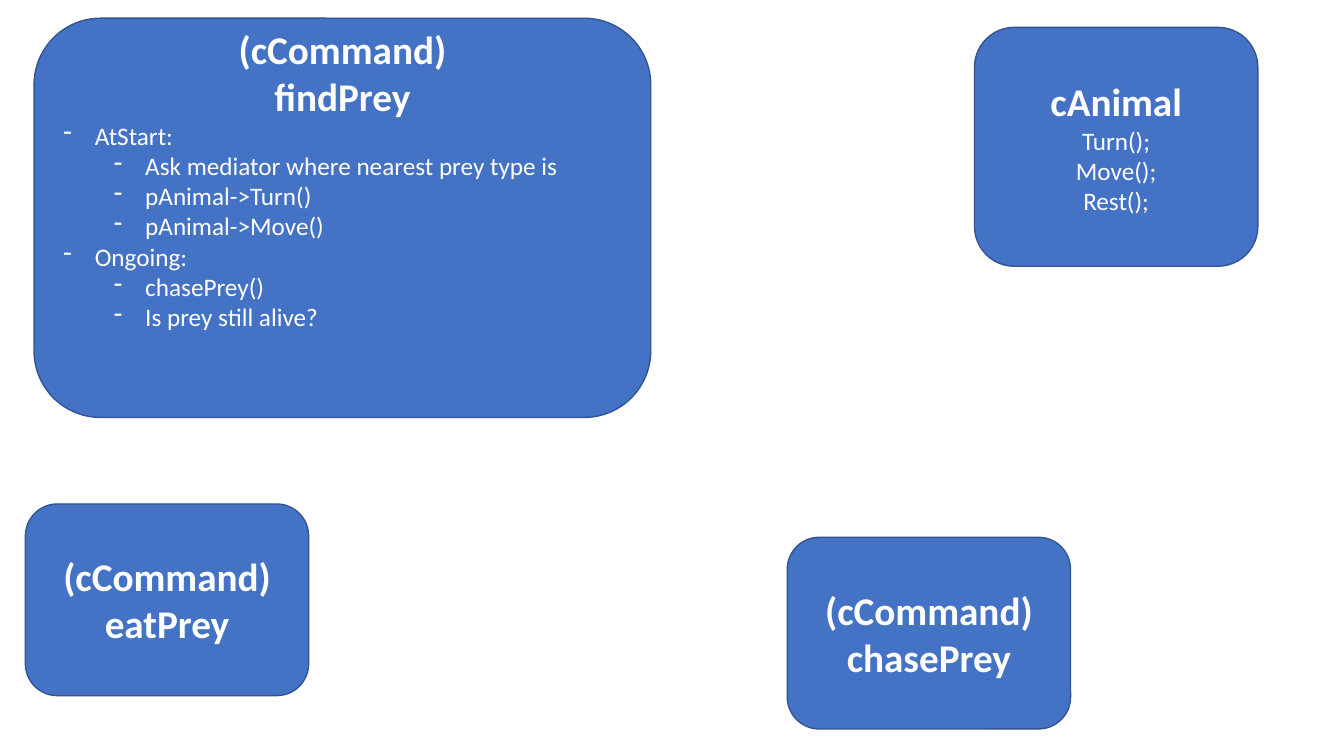
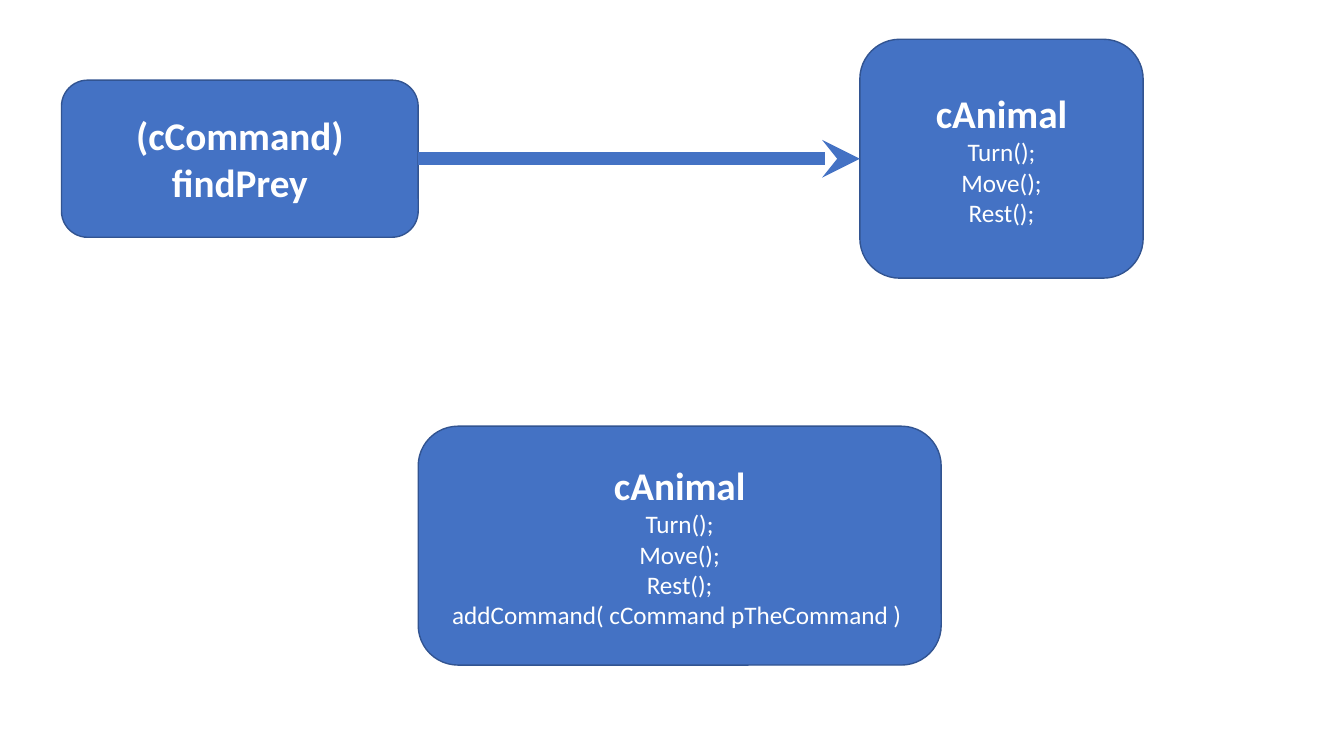
from dataclasses import dataclass

from lxml.etree import SubElement
from pptx import Presentation
from pptx.dml.color import RGBColor
from pptx.enum.shapes import MSO_CONNECTOR, MSO_SHAPE
from pptx.enum.text import MSO_ANCHOR, PP_ALIGN
from pptx.oxml.ns import qn
from pptx.shapes.autoshape import Shape
from pptx.slide import Slide
from pptx.util import Cm, Pt

COLORS = {"box": "4472C4", "outline": "325491", "text": "FFFFFF"}
TITLE = {"name": "Calibri", "size": Pt(28), "bold": True}
BODY = {"name": "Calibri", "size": Pt(18), "bold": False}
FRAME = {"word_wrap": True, "vertical_anchor": MSO_ANCHOR.MIDDLE}
HANG = 0.79
LEVEL_STEP = 1.27
BOX_W = 7.14
CLASS_H = 6.02
COMMAND_H = 4.83


@dataclass
class Line:
    text: str
    font: dict
    bullet_level: int | None = None


@dataclass
class Box:
    left: float
    top: float
    width: float
    height: float
    lines: list[Line]
    bottom_inset: float = 0.13


def rgb(key: str) -> RGBColor:
    return RGBColor.from_string(COLORS[key])


def set_all(target: object, values: dict) -> None:
    for name, value in values.items():
        setattr(target, name, value)


def class_lines(*methods: str) -> list[Line]:
    names = ("Turn();", "Move();", "Rest();", *methods)
    return [Line("cAnimal", TITLE), *(Line(name, BODY) for name in names)]


def command_lines(name: str) -> list[Line]:
    return [Line("(cCommand)", TITLE), Line(name, TITLE)]


def add_line(p, line: Line) -> None:
    p.alignment = PP_ALIGN.CENTER
    r = p.add_run()
    r.text = line.text
    set_all(r.font, line.font)
    r.font.color.rgb = rgb("text")
    if line.bullet_level is not None:
        p.alignment = PP_ALIGN.LEFT
        p.level = line.bullet_level
        ppr = p._p.get_or_add_pPr()
        ppr.set("marL", str(Cm(HANG + LEVEL_STEP * line.bullet_level)))
        ppr.set("indent", str(-Cm(HANG)))
        SubElement(ppr, qn("a:buFontTx"))
        SubElement(ppr, qn("a:buChar"), char="-")


def add_box(s: Slide, box: Box) -> Shape:
    edges = (box.left, box.top, box.width, box.height)
    sp = s.shapes.add_shape(MSO_SHAPE.ROUNDED_RECTANGLE, *map(Cm, edges))
    sp.shadow.inherit = False
    sp.fill.solid()
    sp.fill.fore_color.rgb = rgb("box")
    sp.line.color.rgb = rgb("outline")
    sp.line.width = Pt(1)
    tf = sp.text_frame
    set_all(tf, FRAME)
    tf.margin_bottom = Cm(box.bottom_inset)
    for i, line in enumerate(box.lines):
        add_line(tf.add_paragraph() if i else tf.paragraphs[0], line)
    return sp


def add_arrow(s: Slide, start: Shape, end: Shape) -> None:
    arrow = s.shapes.add_connector(MSO_CONNECTOR.STRAIGHT, 0, 0, 0, 0)
    arrow.begin_connect(start, 3)
    arrow.end_connect(end, 1)
    arrow.line.color.rgb = rgb("box")
    arrow.line.width = Pt(9)
    SubElement(arrow.line._get_or_add_ln(), qn("a:tailEnd"), type="stealth")
    SubElement(arrow._element.spPr, qn("a:effectLst"))


FIND_STEPS = [
    ("AtStart:", 0),
    ("Ask mediator where nearest prey type is", 1),
    ("pAnimal->Turn()", 1),
    ("pAnimal->Move()", 1),
    ("Ongoing:", 0),
    ("chasePrey()", 1),
    ("Is prey still alive?", 1),
]
FIND_LINES = command_lines("findPrey") + [
    Line(text, BODY, level) for text, level in FIND_STEPS
]
OVERVIEW = [
    Box(24.56, 0.69, BOX_W, CLASS_H, class_lines()),
    Box(0.86, 0.46, 15.54, 10.06, FIND_LINES, bottom_inset=2.1),
    Box(0.64, 12.7, BOX_W, COMMAND_H, command_lines("eatPrey")),
    Box(19.84, 13.54, BOX_W, COMMAND_H, command_lines("chasePrey")),
]
ANIMAL = Box(21.67, 0.99, BOX_W, CLASS_H, class_lines())
FIND = Box(1.55, 2.02, 8.99, 3.96, command_lines("findPrey"))
ANIMAL_WITH_COMMAND = Box(
    10.54, 10.74, 13.18, CLASS_H,
    class_lines("addCommand( cCommand pTheCommand ) "),
)


def main() -> None:
    prs = Presentation()
    set_all(prs, {"slide_width": Cm(33.87), "slide_height": Cm(19.05)})
    blank = prs.slide_layouts[6]

    s = prs.slides.add_slide(blank)
    for box in OVERVIEW:
        add_box(s, box)

    s = prs.slides.add_slide(blank)
    animal = add_box(s, ANIMAL)
    find = add_box(s, FIND)
    add_arrow(s, find, animal)
    add_box(s, ANIMAL_WITH_COMMAND)

    prs.save("out.pptx")


if __name__ == "__main__":
    main()
